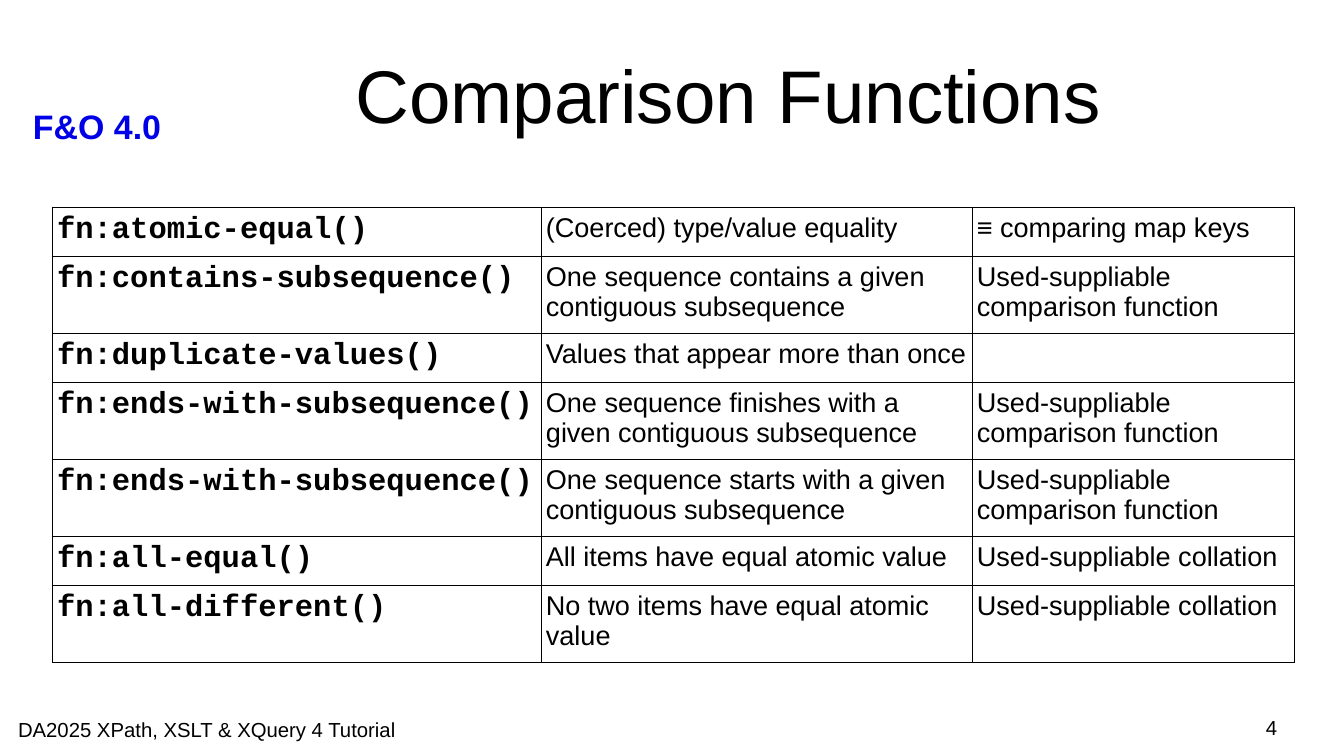
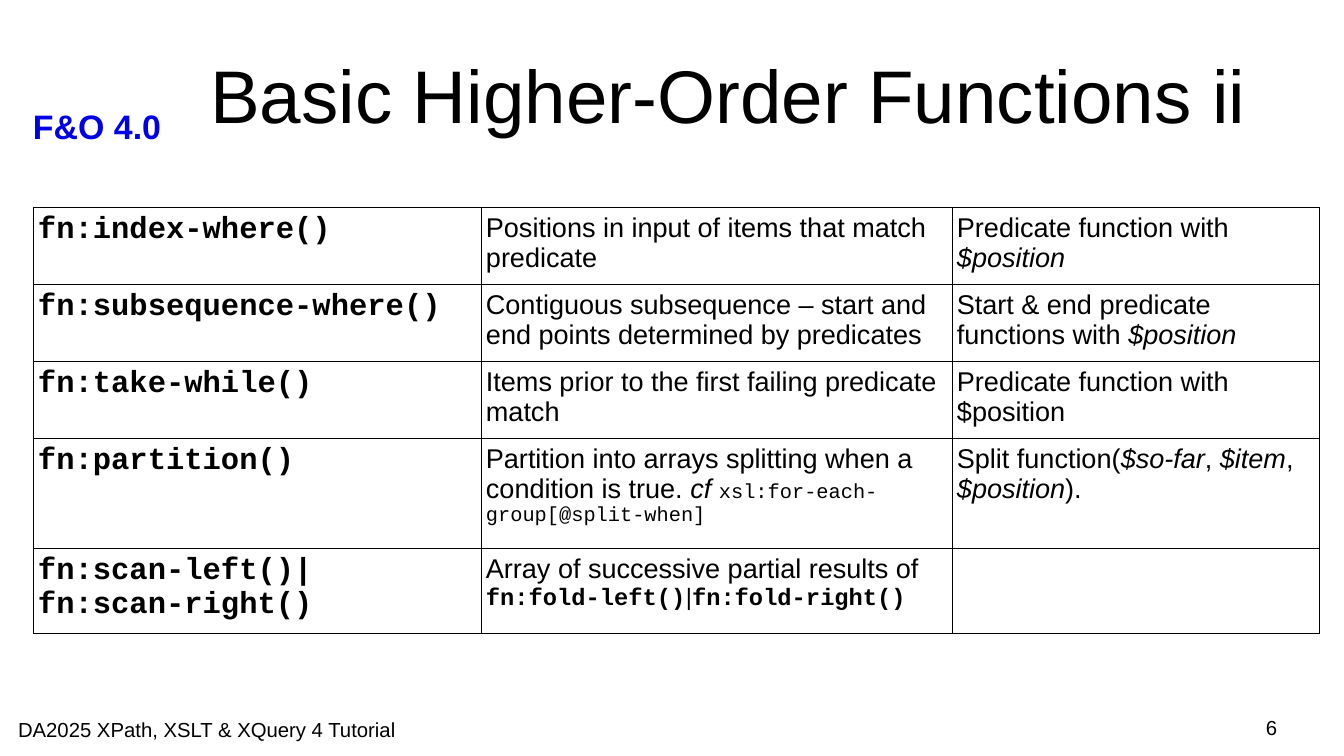
from collections import namedtuple

from lxml import etree
from pptx import Presentation
from pptx.dml.color import RGBColor
from pptx.enum.text import MSO_ANCHOR as Anchor, PP_ALIGN as Align
from pptx.oxml.ns import qn
from pptx.util import Emu, Pt

# Shared look
EMU_PER_PX = 914400 / 122
BLACK = RGBColor(0x00, 0x00, 0x00)
BADGE_BLUE = RGBColor(0x00, 0x00, 0xE6)
BORDER_WIDTH = Pt(0.57)
TABLE_TOP = 207
ONE_LINE, TWO_LINES, THREE_LINES, TWO_CODE_LINES = 49, 77, 110, 85

Style = namedtuple("Style", "font size bold italic color", defaults=(False, False, BLACK))
TITLE = Style("Arial", 44)
BADGE = Style("Arial", 20, bold=True, color=BADGE_BLUE)
FOOTER = Style("Arial", 12)
NAME = Style("Courier New", 18, bold=True)
BODY = Style("Arial", 16)
VARIABLE = BODY._replace(italic=True)
SMALL_CODE = Style("Courier New", 12)
BOLD_CODE = Style("Courier New", 14, bold=True)
SEPARATOR = Style("Arial", 14)

# Table content: row height, then name, meaning and remark
COMPARER = "Used-suppliable comparison function"
COLLATION = "Used-suppliable collation"
COMPARISON_ROWS = [
    (ONE_LINE, "fn:atomic-equal()", "(Coerced) type/value equality", "≡ comparing map keys"),
    (TWO_LINES, "fn:contains-subsequence()",
     "One sequence contains a given contiguous subsequence", COMPARER),
    (ONE_LINE, "fn:duplicate-values()", "Values that appear more than once", ""),
    (TWO_LINES, "fn:ends-with-subsequence()",
     "One sequence finishes with a given contiguous subsequence", COMPARER),
    (TWO_LINES, "fn:ends-with-subsequence()",
     "One sequence starts with a given contiguous subsequence", COMPARER),
    (ONE_LINE, "fn:all-equal()", "All items have equal atomic value", COLLATION),
    (TWO_LINES, "fn:all-different()", "No two items have equal atomic value", COLLATION),
]
HIGHER_ORDER_ROWS = [
    (TWO_LINES, "fn:index-where()", "Positions in input of items that match predicate",
     [("Predicate function with ", BODY), ("$position", VARIABLE)]),
    (TWO_LINES, "fn:subsequence-where()",
     "Contiguous subsequence – start and end points determined by predicates",
     [("Start & end predicate functions with ", BODY), ("$position", VARIABLE)]),
    (TWO_LINES, "fn:take-while()", "Items prior to the first failing predicate match",
     "Predicate function with $position"),
    (THREE_LINES, "fn:partition()",
     [("Partition into arrays splitting when a condition is true. ", BODY),
      ("cf ", VARIABLE), ("xsl:for-each-group[@split-when]", SMALL_CODE)],
     [("Split function(", BODY), ("$so-far", VARIABLE), (",", BODY), (" $item", VARIABLE),
      (", ", BODY), ("$position", VARIABLE), (").", BODY)]),
    (TWO_CODE_LINES, "fn:scan-left()|\nfn:scan-right()",
     [("Array of successive partial results of ", BODY), ("fn:fold-left()", BOLD_CODE),
      ("|", SEPARATOR), ("fn:fold-right()", BOLD_CODE)], ""),
]


def px(length):
    return Emu(round(length * EMU_PER_PX))


def apply_style(font, style):
    font.name = style.font
    font.size = Pt(style.size)
    font.bold = style.bold
    font.italic = style.italic
    font.color.rgb = style.color


def write(paragraph, content, style):
    """Write a plain string in one style, or a list of (text, style) runs."""
    if isinstance(content, str):
        paragraph.text = content
        apply_style(paragraph.font, style)
        return
    for text, run_style in content:
        run = paragraph.add_run()
        run.text = text
        apply_style(run.font, run_style)


def set_margins(owner, across, down):
    owner.margin_left = owner.margin_right = px(across)
    owner.margin_top = owner.margin_bottom = px(down)


def add_label(slide, box, text, style, align=Align.LEFT, margins=(0, 0)):
    frame = slide.shapes.add_textbox(*map(px, box)).text_frame
    frame.word_wrap = True
    set_margins(frame, *margins)
    frame.paragraphs[0].alignment = align
    write(frame.paragraphs[0], text, style)


def set_title(slide, text):
    title = slide.shapes.title
    title.left, title.top, title.width, title.height = map(px, (180, 30, 1097, 127))
    frame = title.text_frame
    frame.vertical_anchor = Anchor.MIDDLE
    set_margins(frame, 0, 0)
    frame.paragraphs[0].alignment = Align.CENTER
    write(frame.paragraphs[0], text, TITLE)


def set_borders(cell):
    properties = cell._tc.get_or_add_tcPr()
    for index, side in enumerate(("a:lnL", "a:lnR", "a:lnT", "a:lnB")):
        line = etree.Element(qn(side), w=str(int(BORDER_WIDTH)))
        fill = etree.SubElement(line, qn("a:solidFill"))
        etree.SubElement(fill, qn("a:srgbClr"), val=str(BLACK))
        properties.insert(index, line)


def add_function_table(slide, left, column_widths, rows):
    heights = [row[0] for row in rows]
    table = slide.shapes.add_table(
        len(rows), len(column_widths), px(left), px(TABLE_TOP),
        px(sum(column_widths)), px(sum(heights))).table
    table.first_row = table.horz_banding = False
    for column, width in zip(table.columns, column_widths):
        column.width = px(width)
    for r, (height, *contents) in enumerate(rows):
        table.rows[r].height = px(height)
        for c, (content, style) in enumerate(zip(contents, (NAME, BODY, BODY))):
            cell = table.cell(r, c)
            set_margins(cell, 5, 6)
            cell.fill.background()
            set_borders(cell)
            write(cell.text_frame.paragraphs[0], content, style)


def add_function_slide(deck, title, number, left, column_widths, rows):
    slide = deck.slides.add_slide(deck.slide_layouts.get_by_name("Title Only"))
    add_label(slide, (21, 100, 168, 50), "F&O 4.0", BADGE, margins=(12, 6))
    set_title(slide, title)
    add_function_table(slide, left, column_widths, rows)
    add_label(slide, (18, 717, 426, 23), "DA2025 XPath, XSLT & XQuery 4 Tutorial", FOOTER)
    add_label(slide, (964, 715, 313, 29), str(number), FOOTER, Align.RIGHT)


def main():
    deck = Presentation()
    deck.slide_width, deck.slide_height = px(1344), px(756)
    add_function_slide(deck, "Comparison Functions", 4,
                       52, (489, 431, 323), COMPARISON_ROWS)
    add_function_slide(deck, "Basic Higher-Order Functions ii", 6,
                       33, (448, 471, 367), HIGHER_ORDER_ROWS)
    deck.save("out.pptx")


if __name__ == "__main__":
    main()
